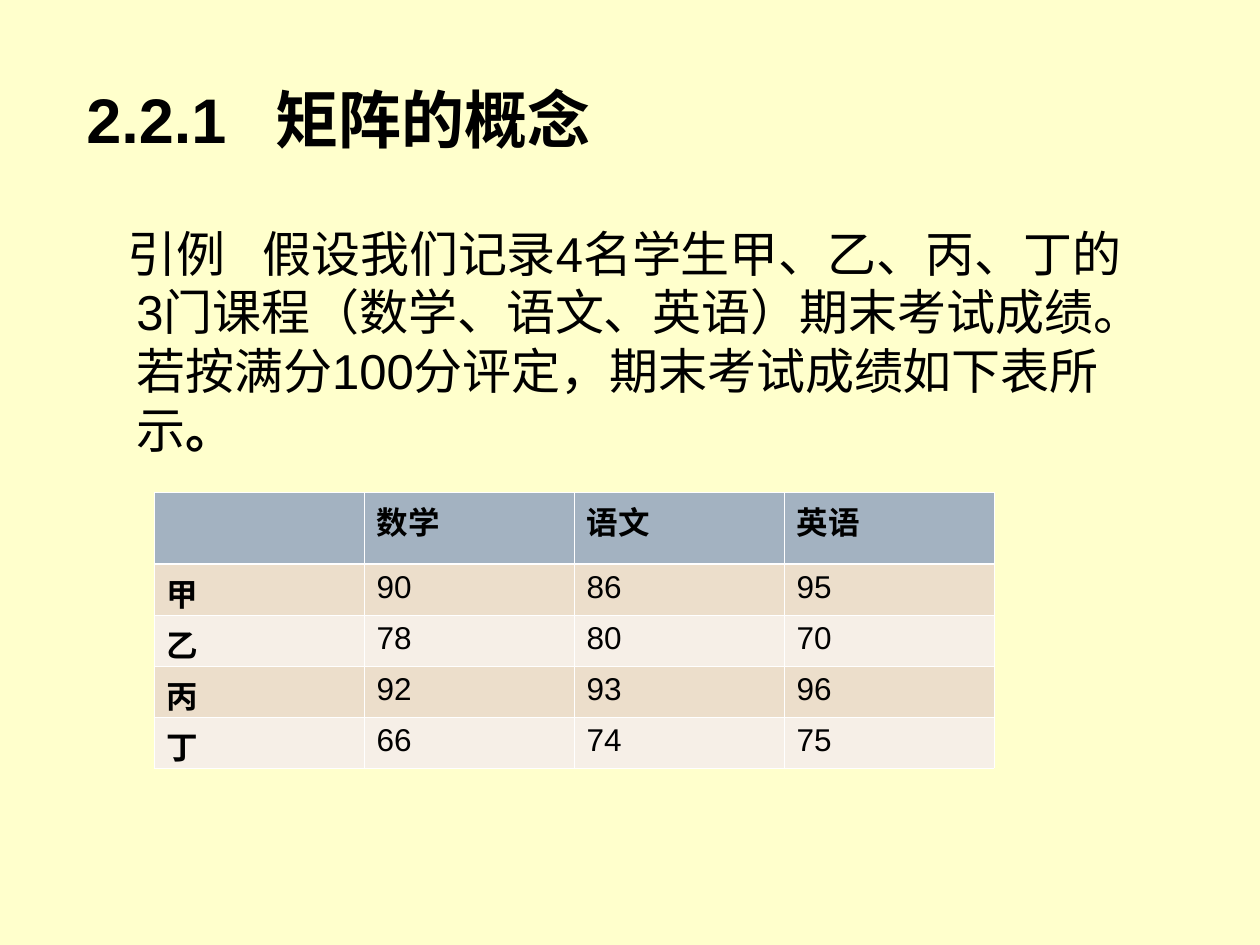
from pptx import Presentation
from pptx.dml.color import RGBColor
from pptx.enum.text import MSO_ANCHOR
from pptx.oxml.xmlchemy import OxmlElement
from pptx.util import Pt

SCALE = 914400 // 126
CREAM = RGBColor(0xFF, 0xFF, 0xCC)
BLACK = RGBColor(0, 0, 0)
WHITE = RGBColor(0xFF, 0xFF, 0xFF)
SLATE = RGBColor(0xA3, 0xB2, 0xC1)
SAND = RGBColor(0xEC, 0xDE, 0xCB)
PALE = RGBColor(0xF6, 0xEF, 0xE7)

SCORES = [
    ["", "数学", "语文", "英语"],
    ["甲", "90", "86", "95"],
    ["乙", "78", "80", "70"],
    ["丙", "92", "93", "96"],
    ["丁", "66", "74", "75"],
]


def px(size):
    return size * SCALE


def put(item, values):
    for name, value in values.items():
        setattr(item, name, value)


class Page:
    base = {"name": "Arial", "size": Pt(18), "bold": False}

    def __init__(self, deck):
        self.slide = deck.slides.add_slide(deck.slide_layouts[6])
        fill = self.slide.background.fill
        fill.solid()
        fill.fore_color.rgb = CREAM

    def phrase(self, para, words, **style):
        run = para.add_run()
        run.text = words
        put(run.font, {**self.base, **style})
        run.font.color.rgb = BLACK

    def text(self, box, runs, anchor, tab, left=0, first=0):
        frame = self.slide.shapes.add_textbox(*map(px, box)).text_frame
        put(frame, {"word_wrap": True, "vertical_anchor": anchor})
        para = frame.paragraphs[0]
        props = para._p.get_or_add_pPr()
        props.set("marL", str(px(left)))
        props.set("indent", str(px(first)))
        stops = OxmlElement("a:tabLst")
        stop = OxmlElement("a:tab")
        stop.set("pos", str(px(tab)))
        stop.set("algn", "l")
        stops.append(stop)
        props.append(stops)
        for words, style in runs:
            self.phrase(para, words, **style)

    def border(self, cell, sides):
        props = cell._tc.get_or_add_tcPr()
        for spot, (side, width) in enumerate(sides.items()):
            line = OxmlElement(f"a:{side}")
            line.set("w", str(Pt(width)))
            fill = OxmlElement("a:solidFill")
            color = OxmlElement("a:srgbClr")
            color.set("val", str(WHITE))
            fill.append(color)
            line.append(fill)
            props.insert(spot, line)

    def table(self, box, rows, heights):
        shape = self.slide.shapes.add_table(len(rows), len(rows[0]), *map(px, box))
        grid = shape.table
        for column in grid.columns:
            column.width = px(box[2] // len(rows[0]))
        for i, (row, height) in enumerate(zip(rows, heights)):
            grid.rows[i].height = px(height)
            for j, words in enumerate(row):
                cell = grid.cell(i, j)
                cell.fill.solid()
                cell.fill.fore_color.rgb = (PALE, SAND)[i % 2] if i else SLATE
                cell.margin_bottom = 0
                if words:
                    bold = i == 0 or j == 0
                    self.phrase(cell.text_frame.paragraphs[0], words, bold=bold)
                top = 1.47 if i == 1 else 0.45
                low = 1.47 if i == 0 else 0.45
                self.border(cell, {"lnL": 0.45, "lnR": 0.45, "lnT": top, "lnB": low})


def main():
    deck = Presentation()
    put(deck, {"slide_width": px(1260), "slide_height": px(945)})
    page = Page(deck)
    head = {"size": Pt(36), "bold": True}
    page.text(
        (74, 74, 1101, 88),
        [("2.2.1\t", head), ("矩阵的概念", {**head, "name": "Noto Sans CJK JP"})],
        MSO_ANCHOR.MIDDLE,
        tab=185,
    )
    body = {"size": Pt(28)}
    story = (
        "引例\t假设我们记录4名学生甲、乙、丙、丁的3门课程（数学、语文、英语）"
        "期末考试成绩。若按满分100分评定，期末考试成绩如下表所示"
    )
    page.text(
        (59, 217, 1077, 276),
        [(story, body), ("。", {**body, "name": "Noto Sans CJK SC", "bold": True})],
        MSO_ANCHOR.TOP,
        tab=175,
        left=65,
        first=-9,
    )
    page.table((154, 492, 840, 276), SCORES, [72, 51, 51, 51, 51])
    deck.save("out.pptx")


if __name__ == "__main__":
    main()
